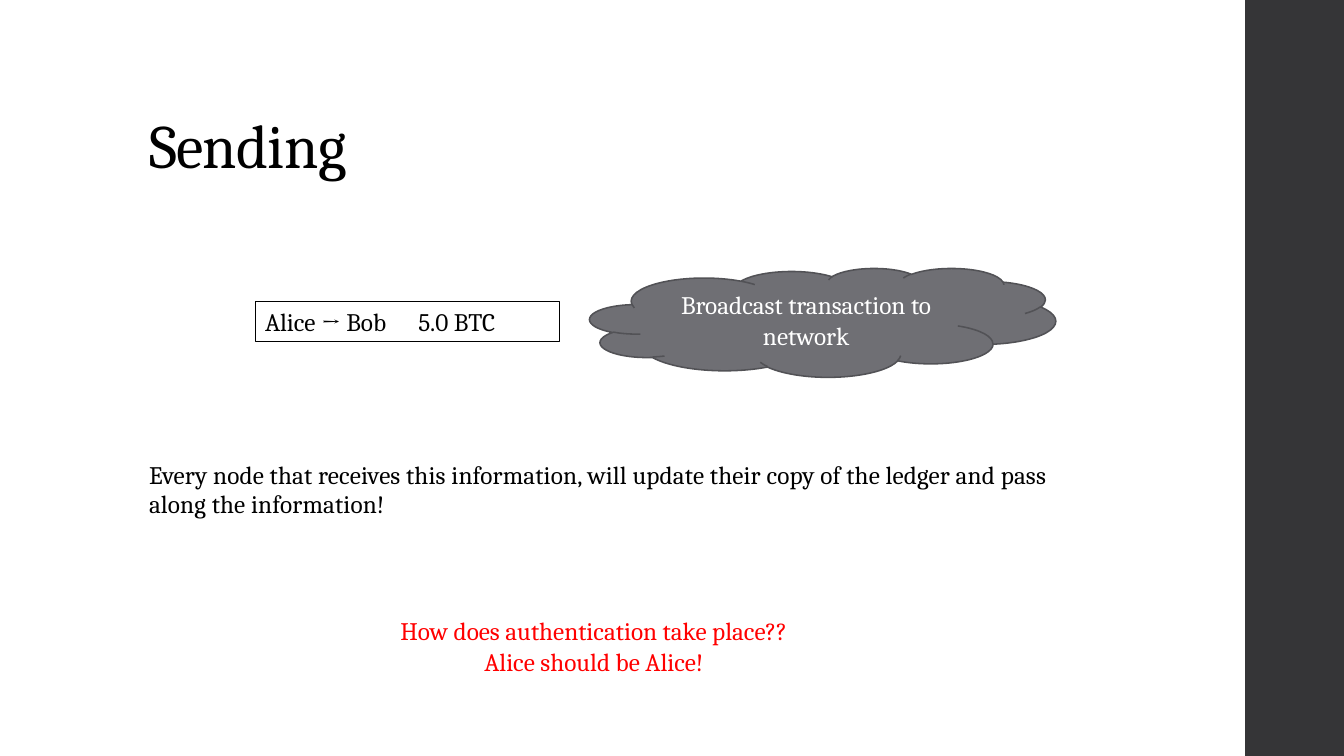
import pptx
import pptx.util
import pptx.dml.color
import pptx.enum.shapes
import pptx.enum.text
import lxml.etree

Inches = pptx.util.Inches
Pt = pptx.util.Pt
RGB = pptx.dml.color.RGBColor.from_string
Shape = pptx.enum.shapes.MSO_SHAPE
Align = pptx.enum.text.PP_ALIGN
Anchor = pptx.enum.text.MSO_ANCHOR

theme = {
    "font": "Cambria",
    "title": 44,
    "body": 18,
    "ink": "000000",
    "light": "FFFFFF",
    "alert": "FF0000",
    "band": "353537",
    "cloud": "6F6F74",
    "edge": "525256",
}


def write(shape, lines, size="body", color="ink", align=Align.LEFT,
          anchor=Anchor.TOP, lead=1.0, track=0):
    frame = shape.text_frame
    frame.word_wrap = True
    frame.auto_size = pptx.enum.text.MSO_AUTO_SIZE.NONE
    frame.vertical_anchor = anchor
    frame.text = "\n".join(lines)
    for para in frame.paragraphs:
        para.alignment = align
        para.line_spacing = lead
        para.font.name = theme["font"]
        para.font.size = Pt(theme[size])
        para.font.color.rgb = RGB(theme[color])
        if track:
            for run in para.runs:
                run._r.get_or_add_rPr().set("spc", str(track))


def draw(kind, box, fill=None, line=None, width=0):
    shape = slide.shapes.add_shape(kind, *map(Inches, box))
    shape.shadow.inherit = False
    if fill:
        shape.fill.solid()
        shape.fill.fore_color.rgb = RGB(theme[fill])
    else:
        shape.fill.background()
    if line:
        shape.line.color.rgb = RGB(theme[line])
        shape.line.width = Pt(width)
    else:
        shape.line.fill.background()
    return shape


deck = pptx.Presentation()
deck.slide_width = Inches(13.33)
deck.slide_height = Inches(7.5)
slide = deck.slides.add_slide(deck.slide_layouts[5])

draw(Shape.RECTANGLE, (12.35, 0, 1, 7.5), fill="band")

title = slide.shapes.title
title.left, title.top = Inches(1.38), Inches(0.4)
title.width, title.height = Inches(10.6), Inches(1.45)
write(title, ["Sending"], size="title", anchor=Anchor.BOTTOM, lead=0.9, track=-50)

note = slide.shapes.add_textbox(*map(Inches, (1.38, 4.53, 9.4, 0.75)))
write(note, ["Every node that receives this information, will update their copy "
             "of the ledger and pass along the information!"], lead=0.95, track=10)

deal = draw(Shape.RECTANGLE, (2.53, 2.99, 3.02, 0.4), line="ink", width=0.25)
write(deal, ["Alice → Bob\t5.0 BTC"])
props = deal.text_frame.paragraphs[0]._p.get_or_add_pPr()
space = "{http://schemas.openxmlformats.org/drawingml/2006/main}"
tabs = lxml.etree.Element(space + "tabLst")
lxml.etree.SubElement(tabs, space + "tab", pos=str(Inches(1.52)), algn="l")
props.find(space + "defRPr").addprevious(tabs)

cloud = draw(Shape.CLOUD, (5.85, 2.66, 4.62, 1.08), "cloud", "edge", 1.1)
write(cloud, ["Broadcast transaction to network"], color="light",
      align=Align.CENTER, anchor=Anchor.MIDDLE)

query = slide.shapes.add_textbox(*map(Inches, (3.59, 6.06, 4.6, 0.71)))
write(query, ["How does authentication take place??", "Alice should be Alice!"],
      color="alert", align=Align.CENTER)

deck.save("out.pptx")
